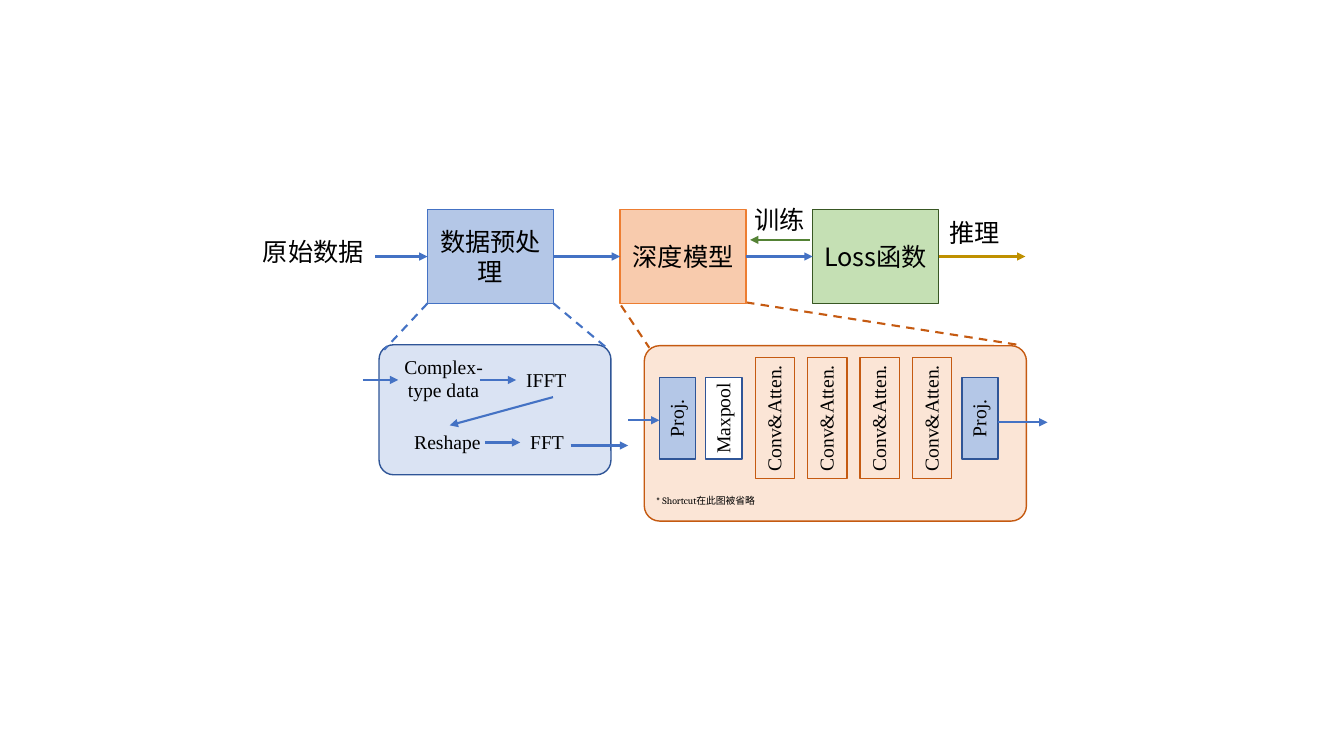
from dataclasses import dataclass
from lxml.etree import SubElement
from pptx import Presentation
from pptx.dml.color import RGBColor
from pptx.enum.dml import MSO_LINE
from pptx.enum.shapes import MSO_CONNECTOR, MSO_SHAPE
from pptx.enum.text import MSO_ANCHOR, PP_ALIGN
from pptx.oxml.ns import qn
from pptx.util import Inches, Pt


@dataclass(frozen=True)
class Theme:
    black: str = "000000"
    white: str = "FFFFFF"
    blue: str = "4472C4"
    navy: str = "2F5597"
    sky: str = "B4C7E7"
    ice: str = "DAE3F3"
    orange: str = "ED7D31"
    rust: str = "C55A11"
    peach: str = "F8CBAD"
    cream: str = "FBE5D6"
    green: str = "548235"
    pine: str = "385723"
    mint: str = "C5E0B4"
    gold: str = "BF9000"
    han: str = "Noto Sans CJK SC"
    serif: str = "Times New Roman"
    small: str = "Cambria"
    large: int = 18
    mid: int = 14
    tiny: int = 7


T = Theme()


def write(frame, text, size=T.mid, font=T.serif, align=PP_ALIGN.LEFT, fresh=True):
    """Add a run to the frame's first paragraph."""
    frame.word_wrap = True
    para = frame.paragraphs[0]
    para.alignment = align
    run = para.add_run()
    run.text = text
    run.font.size = Pt(size)
    run.font.name = font
    run.font.color.rgb = RGBColor.from_string(T.black)
    SubElement(run.font._element, qn("a:ea")).set("typeface", T.han)


def label(slide, text, x, y, w, h, turn=0, **style):
    box = slide.shapes.add_textbox(Inches(x), Inches(y), Inches(w), Inches(h))
    box.rotation = turn
    write(box.text_frame, text, **style)
    return box


def block(slide, x, y, w, h, fill, edge, round=None):
    kind = MSO_SHAPE.RECTANGLE if round is None else MSO_SHAPE.ROUNDED_RECTANGLE
    shape = slide.shapes.add_shape(kind, Inches(x), Inches(y), Inches(w), Inches(h))
    if round is not None:
        shape.adjustments[0] = round
    shape.shadow.inherit = False
    shape.fill.solid()
    shape.fill.fore_color.rgb = RGBColor.from_string(fill)
    shape.line.color.rgb = RGBColor.from_string(edge)
    shape.line.width = Pt(1)
    return shape


def link(slide, start, end, color=T.blue, dash=False, source=None, target=None):
    """Draw an arrow or a dashed line; source and target are (shape, side)."""
    line = slide.shapes.add_connector(
        MSO_CONNECTOR.STRAIGHT, *[Inches(n) for n in (*start, *end)])
    line.line.color.rgb = RGBColor.from_string(color)
    line.line.width = Pt(1.5)
    if dash:
        line.line.dash_style = MSO_LINE.DASH
    else:
        SubElement(line.line._get_or_add_ln(), qn("a:tailEnd")).set("type", "triangle")
    SubElement(line._element.spPr, qn("a:effectLst"))
    if source:
        line.begin_connect(*source)
    if target:
        line.end_connect(*target)


def flow(slide, x, y, w, h):
    """Top row: data, three stages and the result."""
    wide, step, mid = 1.25, 1.91, y + h / 2
    left = x + 1.73
    stages = [("数据预处理", T.sky, T.blue), ("深度模型", T.peach, T.orange),
              ("Loss函数", T.mint, T.pine)]
    boxes = []
    for i, (text, fill, edge) in enumerate(stages):
        box = block(slide, left + i * step, y, wide, h, fill, edge)
        box.text_frame.vertical_anchor = MSO_ANCHOR.MIDDLE
        write(box.text_frame, text, size=T.large, font=T.han, align=PP_ALIGN.CENTER)
        boxes.append(box)

    # Arrows between the stages
    link(slide, (x + 1.21, mid), (left, mid), target=(boxes[0], 1))
    for i in range(2):
        edge = left + i * step + wide
        link(slide, (edge, mid), (edge + step - wide, mid),
             source=(boxes[i], 3), target=(boxes[i + 1], 1))
    link(slide, (left + 2 * step + wide, mid), (x + w, mid), T.gold,
         source=(boxes[2], 3))
    link(slide, (x + 5.52, y + 0.3), (x + 4.93, y + 0.3), T.green)

    # Words beside the arrows
    for text, dx, dy, width in [("原始数据", 0, 0.22, 1.3), ("训练", 4.87, -0.1, 0.78),
                                ("推理", 6.81, 0.03, 0.78)]:
        label(slide, text, x + dx, y + dy, width, 0.4, size=T.large, font=T.han)


def prep(slide, x, y, w, h):
    """Blue panel: steps of the data preparation."""
    block(slide, x, y, w, h, T.ice, T.navy, round=0.112)
    label(slide, "Complex-type data", x + 0.12, y + 0.05, 1.04, 0.57,
          align=PP_ALIGN.CENTER)
    ifft = label(slide, "IFFT", x + 1.36, y + 0.18, 0.73, 0.34)
    shape = label(slide, "Reshape", x + 0.25, y + 0.8, 0.9, 0.34)
    fft = label(slide, "FFT", x + 1.4, y + 0.8, 0.73, 0.34)

    # Arrows along the steps
    top, low = y + 0.35, y + 0.97
    link(slide, (x - 0.16, top), (x + 0.19, top))
    link(slide, (x + 1, top), (x + 1.36, top), target=(ifft, 1))
    link(slide, (x + 1.72, y + 0.52), (x + 0.7, y + 0.8),
         source=(ifft, 2), target=(shape, 0))
    link(slide, (x + 1.05, low), (x + 1.4, low), target=(fft, 1))
    link(slide, (x + 1.9, y + 1), (x + 2.47, y + 1))

    # Dashed lines up to the stage
    link(slide, (x + 0.48, y - 0.41), (x + 0.05, y + 0.05), dash=True)
    link(slide, (x + 1.73, y - 0.41), (x + w - 0.02, y + 0.05), dash=True)


def model(slide, x, y, w, h):
    """Orange panel: layers of the deep model."""
    block(slide, x, y, w, h, T.cream, T.rust, round=0.088)
    mid = y + 0.72
    proj = ("Proj.", 0.36, 0.81, T.sky, T.navy, 0.73)
    pool = ("Maxpool", 0.36, 0.81, T.white, T.navy, 0.95)
    conv = ("Conv&Atten.", 0.39, 1.2, T.cream, T.rust, 1.28)
    layers = [(0.15, proj), (0.61, pool)]
    layers += [(1.1 + i * 0.52, conv) for i in range(4)]
    layers.append((3.15, proj))
    for dx, (text, wide, tall, fill, edge, span) in layers:
        left = x + dx
        block(slide, left, mid - tall / 2, wide, tall, fill, edge)
        label(slide, text, left + (wide - span) / 2 - 0.01, mid - 0.17,
              span, 0.34, turn=270, align=PP_ALIGN.CENTER)

    # Arrows in and out
    link(slide, (x - 0.16, y + 0.74), (x + 0.15, y + 0.74))
    link(slide, (x + 3.51, y + 0.76), (x + 4, y + 0.76))

    # Footnote in two fonts
    note = label(slide, "* Shortcut", x + 0.02, y + 1.43, 1.47, 0.22,
                 size=T.tiny, font=T.small)
    write(note.text_frame, "在此图被省略", size=T.tiny, font=T.han)

    # Dashed lines up to the stage
    link(slide, (x - 0.23, y - 0.4), (x + 0.05, y + 0.02), T.rust, dash=True)
    link(slide, (x + 1.01, y - 0.43), (x + w - 0.09, y - 0.01), T.rust, dash=True)


def main():
    deck = Presentation()
    deck.slide_width, deck.slide_height = Inches(13.33), Inches(7.5)
    slide = deck.slides.add_slide(deck.slide_layouts[6])
    model(slide, 6.39, 3.43, 3.79, 1.74)
    prep(slide, 3.76, 3.42, 2.3, 1.29)
    flow(slide, 2.51, 2.08, 7.66, 0.93)
    deck.save("out.pptx")


if __name__ == "__main__":
    main()
